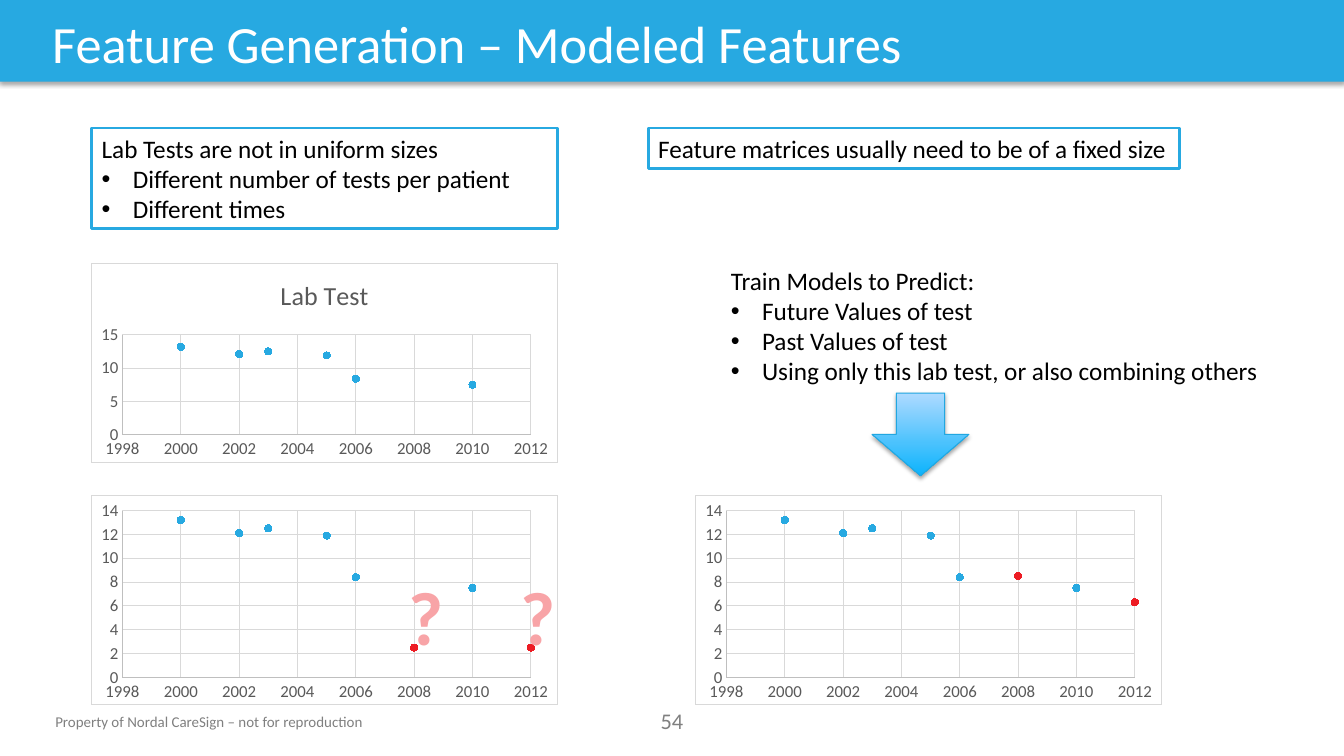
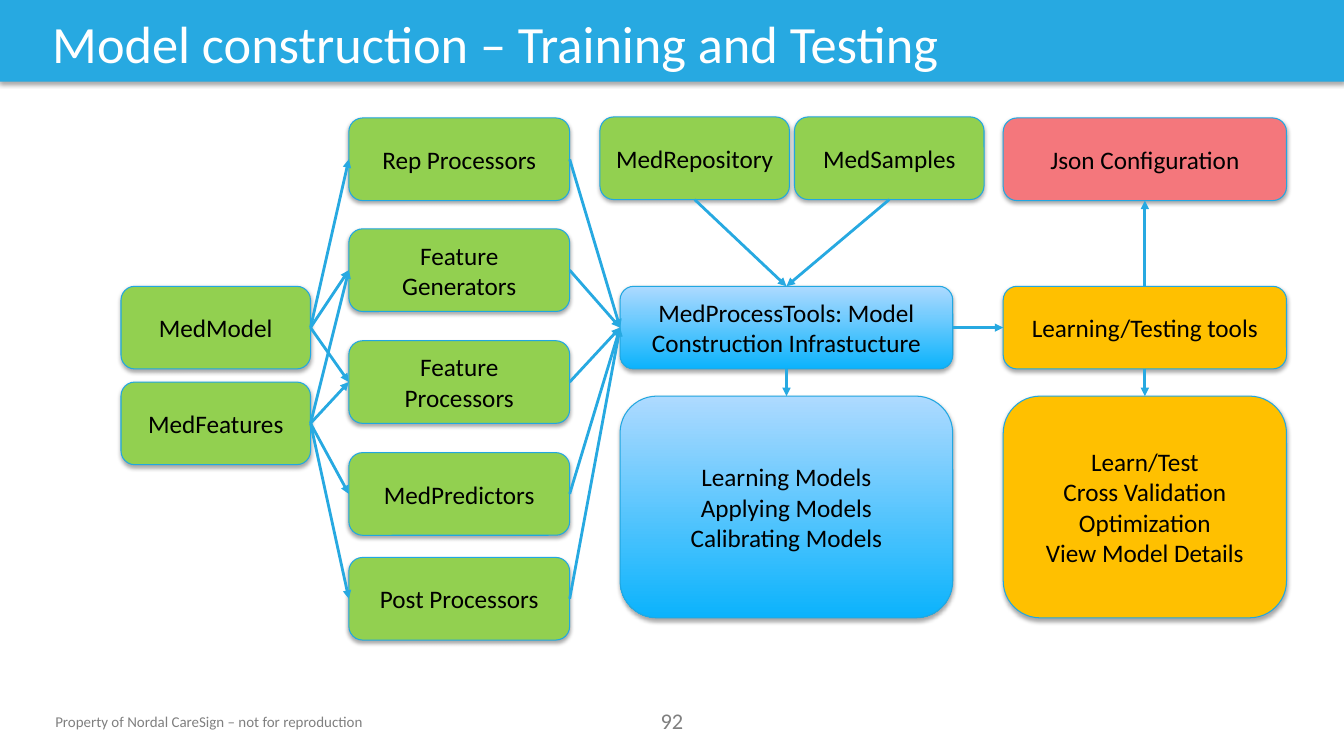
from lxml import etree
from pptx import Presentation
from pptx.chart.data import XyChartData
from pptx.dml.color import RGBColor
from pptx.enum.chart import XL_CHART_TYPE as Chart, XL_MARKER_STYLE as Mark
from pptx.enum.chart import XL_TICK_MARK as Tick
from pptx.enum.shapes import MSO_CONNECTOR as Link, MSO_SHAPE as Shape
from pptx.enum.text import MSO_ANCHOR as Anchor, PP_ALIGN as Align
from pptx.oxml import parse_xml
from pptx.oxml.ns import nsdecls, qn
from pptx.util import Pt

PX = 9144  # 100 px to the inch
FONT = "Calibri"
BLUE, EDGE, RED = "27A9E1", "21A7E1", "ED1C24"
GREEN, GOLD, ROSE = "92D050", "FFC000", "F4777C"
SKY = ("AEDAFF", "0BB3FC")
WHITE, BLACK, GREY, PINK = "FFFFFF", "000000", "808080", "F8A4A7"
INK, GRID, AXIS = "595959", "D9D9D9", "BFBFBF"
FOOTER = "Property of Nordal CareSign – not for reproduction"

# Slide 1: boxes are left, top, width, height; lines after the first are bullets
CALLOUTS = [
    ((91, 127, 462, 100), ["Lab Tests are not in uniform sizes",
                           "Different number of tests per patient",
                           "Different times"]),
    ((643, 127, 527, 40), ["Feature matrices usually need to be of a fixed size"]),
]
GOALS = ((715, 258, 543, 130), ["Train Models to Predict:",
                                "Future Values of test",
                                "Past Values of test",
                                "Using only this lab test, or also combining others"])
ARROW = (865, 390, 96, 82)
MARKS = [(393, 561, 60, 100), (504, 561, 60, 100)]
YEARS = [2000, 2002, 2003, 2005, 2006, 2010, 2012, 2008]
TESTS = [13.2, 12.1, 12.5, 11.9, 8.4, 7.5]
GAP = [None]
# box, title, values per series, value axis top and step, plot top and height
CHARTS = [
    ((91, 261, 462, 198), "Lab Test", [TESTS], 15, 5, 0.36, 0.5),
    ((690, 492, 462, 207), None, [TESTS + GAP * 2, GAP * 5 + [7.5, 6.3, 8.5]],
     14, 2, 0.07, 0.8),
    ((91, 492, 462, 207), None, [TESTS + GAP * 2, GAP * 6 + [2.5, 2.5]],
     14, 2, 0.07, 0.8),
]

# Slide 2
NODES = {
    "model": ((120, 284, 188, 82), GREEN, ["MedModel"]),
    "feats": ((120, 379, 188, 82), GREEN, ["MedFeatures"]),
    "rep": ((346, 117, 219, 82), GREEN, ["Rep Processors"]),
    "gen": ((346, 227, 219, 82), GREEN, ["Feature Generators"]),
    "proc": ((346, 338, 219, 82), GREEN, ["Feature Processors"]),
    "pred": ((346, 449, 219, 82), GREEN, ["MedPredictors"]),
    "post": ((346, 553, 219, 82), GREEN, ["Post Processors"]),
    "repo": ((595, 116, 188, 82), GREEN, ["MedRepository"]),
    "samples": ((788, 116, 188, 82), GREEN, ["MedSamples"]),
    "tools": ((615, 284, 330, 82), SKY,
              ["MedProcessTools: Model Construction Infrastucture"]),
    "uses": ((615, 393, 330, 220), SKY,
             ["Learning Models", "Applying Models", "Calibrating Models"]),
    "json": ((995, 117, 281, 82), ROSE, ["Json Configuration"]),
    "learn": ((995, 284, 281, 82), GOLD, ["Learning/Testing tools"]),
    "tasks": ((995, 393, 281, 220), GOLD,
              ["Learn/Test", "Cross Validation", "Optimization",
               "View Model Details"]),
}
TOP, LEFT, BOTTOM, RIGHT = range(4)
# sources, targets, side left, side entered
LINKS = [
    (["model"], ["rep", "gen", "proc"], RIGHT, LEFT),
    (["feats"], ["gen", "proc", "pred", "post"], RIGHT, LEFT),
    (["rep", "gen", "proc", "pred", "post"], ["tools"], RIGHT, LEFT),
    (["repo", "samples"], ["tools"], BOTTOM, TOP),
    (["tools"], ["uses"], BOTTOM, TOP),
    (["tools"], ["learn"], RIGHT, LEFT),
    (["learn"], ["tasks"], BOTTOM, TOP),
    (["learn"], ["json"], TOP, BOTTOM),
]


def rgb(code):
    return RGBColor.from_string(code)


def emu(box):
    return [n * PX for n in box]


def style(font, size, color, bold=False):
    font.name, font.size, font.bold = FONT, Pt(size), bold
    font.color.rgb = rgb(color)


def write(shape, lines, size=18, color=BLACK, align=Align.LEFT,
          anchor=Anchor.TOP, wrap=True, bold=False, bullets=False):
    """Put one paragraph per line; with bullets, all but the first get one."""
    frame = shape.text_frame
    frame.word_wrap, frame.vertical_anchor = wrap, anchor
    for i, line in enumerate(lines):
        para = frame.add_paragraph() if i else frame.paragraphs[0]
        para.alignment = align
        run = para.add_run()
        run.text = line
        style(run.font, size, color, bold)
        if bullets and i:
            props = para._p.get_or_add_pPr()
            props.set("marL", str(31 * PX))
            props.set("indent", str(-31 * PX))
            etree.SubElement(props, qn("a:buFont")).set("typeface", "Arial")
            etree.SubElement(props, qn("a:buChar")).set("char", "•")


def add_text(slide, box, lines, **look):
    write(slide.shapes.add_textbox(*emu(box)), lines, **look)


def add_box(slide, kind, box, fill, line=None, width=0.75, shade=True):
    """Add a shape; a pair of colours as fill is a gradient from the top."""
    shape = slide.shapes.add_shape(kind, *emu(box))
    if isinstance(fill, tuple):
        shape.fill.gradient()
        shape.fill.gradient_angle = 270
        for stop, code in zip(shape.fill.gradient_stops, fill):
            stop.color.rgb = rgb(code)
    else:
        shape.fill.solid()
        shape.fill.fore_color.rgb = rgb(fill)
    if line:
        shape.line.color.rgb = rgb(line)
        shape.line.width = Pt(width)
    else:
        shape.line.fill.background()
    shape.shadow.inherit = False
    if shade:
        shape._element.spPr.find(qn("a:effectLst")).append(parse_xml(
            f'<a:outerShdw {nsdecls("a")} blurRad="{Pt(3.1)}" dist="{Pt(1.8)}" '
            'dir="5400000" rotWithShape="0"><a:srgbClr val="000000">'
            '<a:alpha val="35000"/></a:srgbClr></a:outerShdw>'))
    return shape


def add_link(slide, start, end, out, into):
    """Join two nodes by a hairline arrow."""
    link = slide.shapes.add_connector(Link.STRAIGHT, 0, 0, 0, 0)
    link.begin_connect(start, out)
    link.end_connect(end, into)
    link.line.color.rgb = rgb(BLUE)
    link.line.width = Pt(0)
    etree.SubElement(link.line._get_or_add_ln(), qn("a:tailEnd")).set(
        "type", "triangle")
    etree.SubElement(link._element.spPr, qn("a:effectLst"))


def set_axis(axis, low, high, step):
    axis.minimum_scale, axis.maximum_scale, axis.major_unit = low, high, step
    axis.major_tick_mark = axis.minor_tick_mark = Tick.NONE
    axis.has_major_gridlines = True
    for line, code in ((axis.format.line, AXIS),
                       (axis.major_gridlines.format.line, GRID)):
        line.color.rgb = rgb(code)
        line.width = Pt(0.75)
    style(axis.tick_labels.font, 12, INK)
    axis.tick_labels.number_format = "General"
    axis.tick_labels.number_format_is_linked = False


def set_mark(mark, code):
    mark.style, mark.size = Mark.CIRCLE, 5
    mark.format.fill.solid()
    mark.format.fill.fore_color.rgb = rgb(code)
    mark.format.line.color.rgb = rgb(code)


def add_plot(slide, box, title, rows, high, step, top, tall):
    data = XyChartData()
    for i, row in enumerate(rows, 1):
        series = data.add_series(f"Series {i}")
        for x, y in zip(YEARS, row):
            series.add_data_point(x, y)
    chart = slide.shapes.add_chart(Chart.XY_SCATTER, *emu(box), data).chart
    for point in list(chart._chartSpace.iter(qn("c:pt"))):
        if point.findtext(qn("c:v")) in ("None", ""):
            point.getparent().remove(point)
    style(chart.font, 10, BLACK)
    chart.has_legend = False
    chart.has_title = bool(title)
    if title:
        para = chart.chart_title.text_frame.paragraphs[0]
        run = para.add_run()
        run.text = title
        style(run.font, 18.6, INK)
        chart.chart_title.include_in_layout = False
    set_axis(chart.category_axis, 1998, 2012, 2)
    set_axis(chart.value_axis, 0, high, step)
    plot = chart.plots[0]
    plot.vary_by_categories = False
    for series, row, code in zip(plot.series, rows, (BLUE, RED)):
        series.format.line.fill.background()
        set_mark(series.marker, code)
        for i, test in enumerate(TESTS):
            if code == RED and row[i] == test:  # a measured value stays blue
                set_mark(series.points[i].marker, BLUE)
    frame(chart, top, tall)


def frame(chart, top, tall):
    """Fix the inner plot area and give the chart its ground and border."""
    area = chart._chartSpace.chart.plotArea
    for old in area.findall(qn("c:layout")):
        area.remove(old)
    spots = "".join(f'<c:{tag} val="{val}"/>' for tag, val in (
        ("layoutTarget", "inner"), ("xMode", "edge"), ("yMode", "edge"),
        ("x", 0.066), ("y", top), ("w", 0.877), ("h", tall)))
    area.insert(0, parse_xml(f'<c:layout {nsdecls("c")}><c:manualLayout>{spots}'
                             '</c:manualLayout></c:layout>'))
    chart._chartSpace.chart.addnext(parse_xml(
        f'<c:spPr {nsdecls("c", "a")}><a:solidFill><a:srgbClr val="{WHITE}"/>'
        f'</a:solidFill><a:ln w="0"><a:solidFill><a:srgbClr val="{GRID}"/>'
        '</a:solidFill></a:ln></c:spPr>'))


def add_slide(deck, title, number):
    slide = deck.slides.add_slide(deck.slide_layouts[6])
    add_box(slide, Shape.RECTANGLE, (0, -1, 1333, 82), BLUE)
    add_text(slide, (45, 702, 328, 28), [FOOTER], size=10.7, color=GREY, wrap=False)
    add_text(slide, (626, 697, 81, 37), [number], size=16, color=GREY,
             align=Align.CENTER)
    add_text(slide, (42, 6, 1110, 73), [title], size=37.4, color=WHITE,
             anchor=Anchor.MIDDLE)
    return slide


def build_features(deck):
    slide = add_slide(deck, "Feature Generation – Modeled Features", "54")
    for chart in CHARTS:
        add_plot(slide, *chart)
    box, lines = GOALS
    add_text(slide, box, lines, wrap=False, bullets=True)
    add_box(slide, Shape.DOWN_ARROW, ARROW, SKY, EDGE)
    for box in MARKS:
        add_text(slide, box, ["?"], size=54, color=PINK, bold=True,
                 align=Align.CENTER, wrap=False)
    for box, lines in CALLOUTS:
        shape = add_box(slide, Shape.RECTANGLE, box, WHITE, BLUE, 2, False)
        write(shape, lines, bullets=True)


def build_model(deck):
    slide = add_slide(deck, "Model construction – Training and Testing", "92")
    nodes = {}
    for name, (box, fill, lines) in NODES.items():
        nodes[name] = add_box(slide, Shape.ROUNDED_RECTANGLE, box, fill, EDGE)
        write(nodes[name], lines, align=Align.CENTER, anchor=Anchor.MIDDLE)
    for starts, ends, out, into in LINKS:
        for start in starts:
            for end in ends:
                add_link(slide, nodes[start], nodes[end], out, into)


def main():
    deck = Presentation()
    deck.slide_width, deck.slide_height = emu((1333, 750))
    build_features(deck)
    build_model(deck)
    deck.save("out.pptx")


if __name__ == "__main__":
    main()
